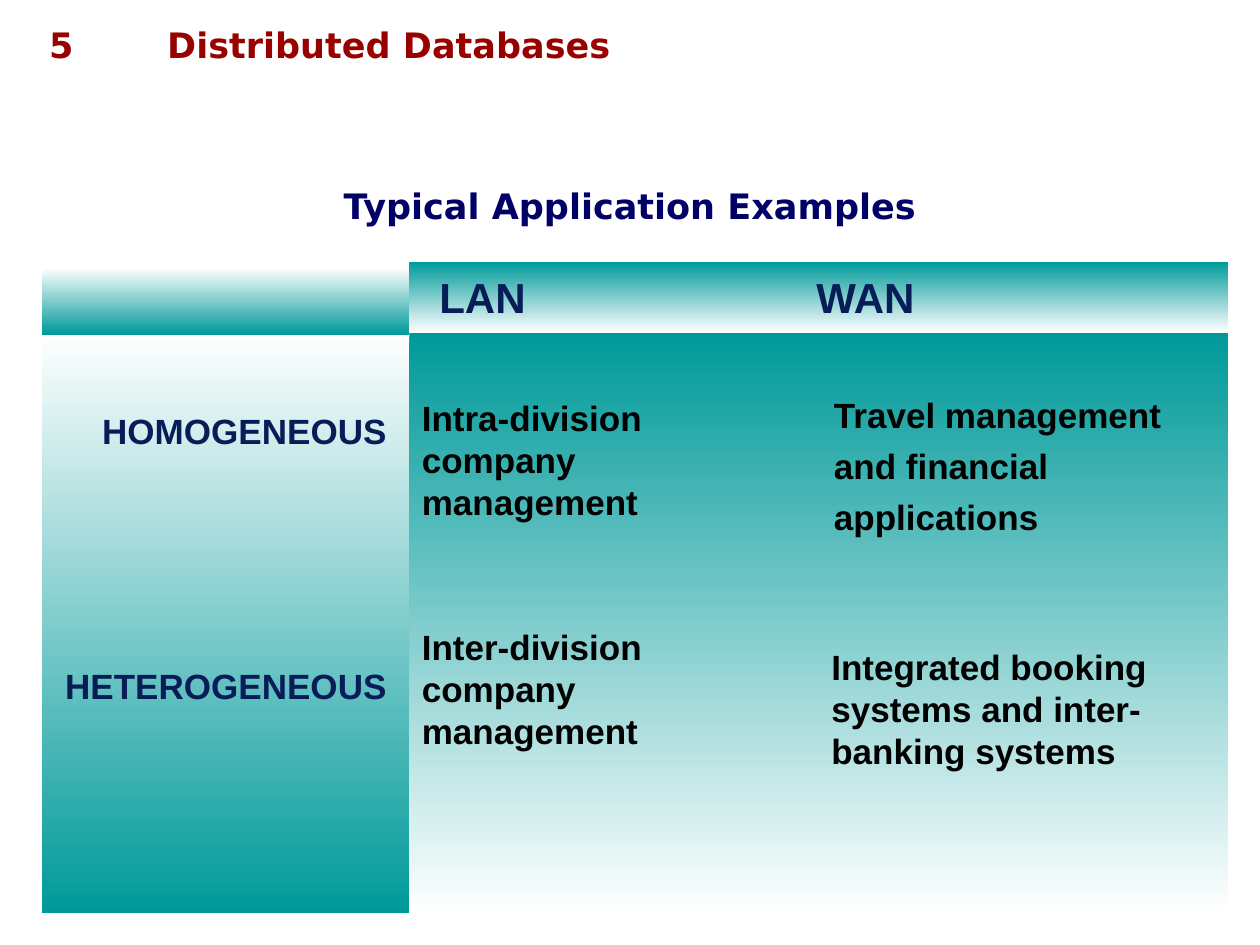
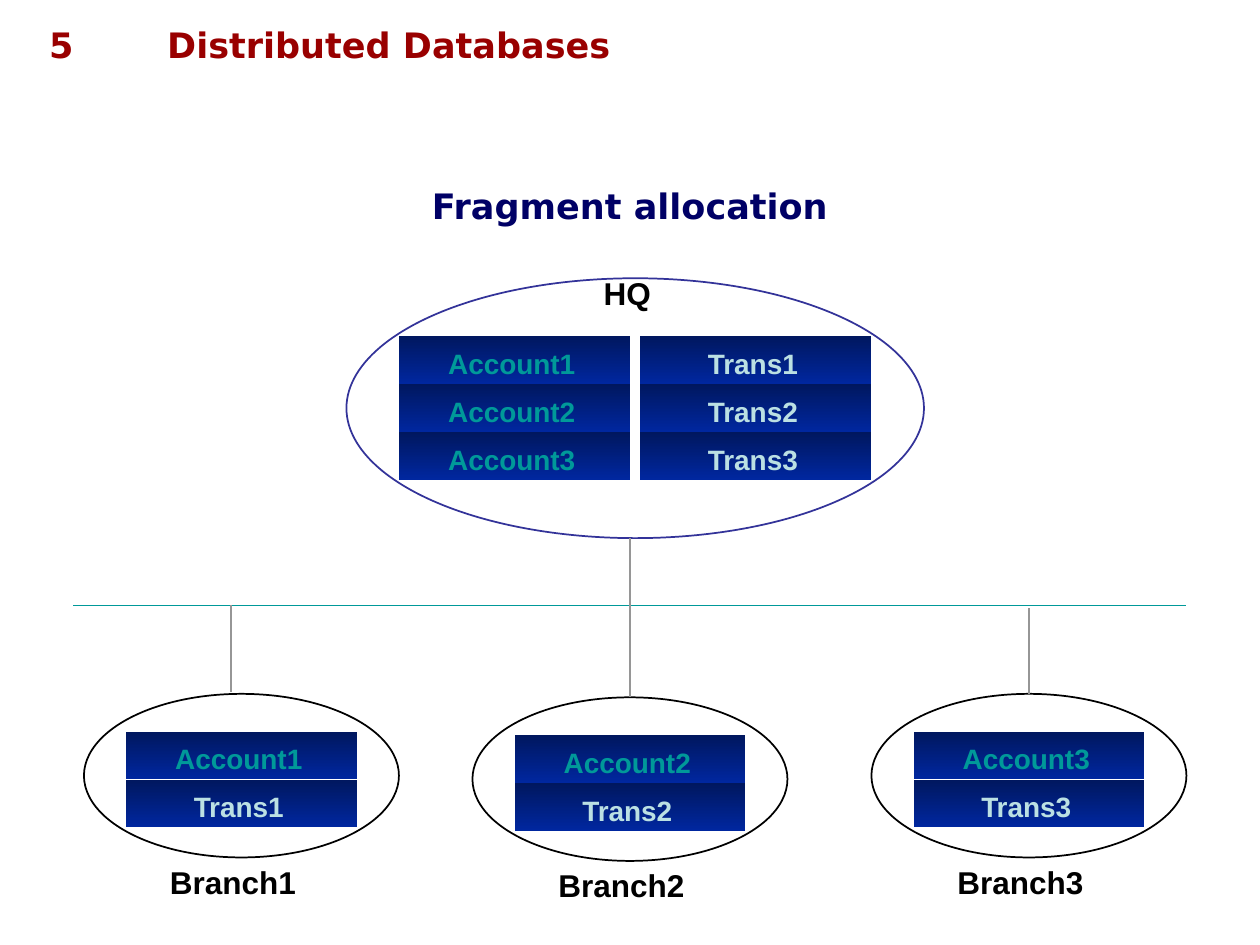
from dataclasses import dataclass

from lxml import etree
from pptx import Presentation
from pptx.dml.color import RGBColor
from pptx.enum import shapes, text
from pptx.oxml import ns
from pptx.util import Pt

LEFT, MID, RIGHT = text.PP_ALIGN.LEFT, text.PP_ALIGN.CENTER, text.PP_ALIGN.RIGHT
RECT, OVAL = shapes.MSO_SHAPE.RECTANGLE, shapes.MSO_SHAPE.OVAL


@dataclass(frozen=True)
class Theme:
    head: str = "990000"
    title: str = "000066"
    teal: str = "009999"
    white: str = "FFFFFF"
    navy: str = "081D58"
    black: str = "000000"
    ice: str = "BBE0E3"
    dark: str = "00175F"
    blue: str = "00279F"
    rim: str = "333399"
    gray: str = "969696"
    sans: str = "Arial"
    wide: str = "DejaVu Sans"
    big: int = 24
    base: int = 20
    label: int = 18
    small: int = 16


T = Theme()


def rgb(code):
    return RGBColor.from_string(code)


def pts(*nums):
    return [Pt(n) for n in nums]


def write(frame, lines, size, color, font=T.sans, align=LEFT, gap=0,
          anchor=text.MSO_ANCHOR.TOP):
    frame.word_wrap = True
    frame.auto_size = text.MSO_AUTO_SIZE.NONE
    frame.vertical_anchor = anchor
    for i, line in enumerate(lines):
        para = frame.paragraphs[0] if i == 0 else frame.add_paragraph()
        para.alignment = align
        para.space_before = Pt(gap if i else 0)
        run = para.add_run()
        run.text = line
        run.font.name = font
        run.font.size = Pt(size)
        run.font.bold = True
        run.font.color.rgb = rgb(color)


def note(slide, box, lines, size, color, **style):
    shape = slide.shapes.add_textbox(*pts(*box))
    write(shape.text_frame, lines, size, color, **style)


def block(slide, box, top, base):
    shape = slide.shapes.add_shape(RECT, *pts(*box))
    shape.shadow.inherit = False
    shape.line.fill.background()
    shape.fill.gradient()
    shape.fill.gradient_angle = 270
    for stop, color in zip(shape.fill.gradient_stops, (top, base)):
        stop.color.rgb = rgb(color)
    return shape


def ring(slide, box, color):
    shape = slide.shapes.add_shape(OVAL, *pts(*box))
    shape.shadow.inherit = False
    shape.fill.background()
    shape.line.color.rgb = rgb(color)
    shape.line.width = Pt(1)
    return shape


def link(slide, ends, color, width):
    line = slide.shapes.add_connector(shapes.MSO_CONNECTOR.STRAIGHT, *pts(*ends))
    line.line.color.rgb = rgb(color)
    line.line.width = Pt(width)
    etree.SubElement(line._element.spPr, ns.qn("a:effectLst"))
    return line


def start(deck, name):
    slide = deck.slides.add_slide(deck.slide_layouts[5])
    title = slide.shapes.title
    title.left, title.top, title.width, title.height = pts(0, 106.5, 720, 21.6)
    write(title.text_frame, [name], T.base, T.title, font=T.wide, align=MID,
          anchor=text.MSO_ANCHOR.MIDDLE)
    note(slide, (88.5, 10, 612, 32), ["Distributed Databases"],
         T.base, T.head, font=T.wide)
    note(slide, (9.5, 10, 51, 32), ["5"], T.base, T.head, font=T.wide, align=MID)
    return slide


def matrix(slide, x, y, w, h):
    side, top = 210, 40.5
    body = w - side
    block(slide, (x, y + top, side, h - top), T.white, T.teal)
    block(slide, (x + side, y + top, body, h - top), T.teal, T.white)
    block(slide, (x + side, y, body, top), T.teal, T.white)
    block(slide, (x, y + 3.5, side, 38), T.white, T.teal)

    for dx, name in ((220, "LAN"), (435.5, "WAN")):
        note(slide, (x + dx, y + 2, 100, 36), [name], T.big, T.navy,
             anchor=text.MSO_ANCHOR.MIDDLE)
    for dy, name in ((80.5, "HOMOGENEOUS"), (226.5, "HETEROGENEOUS")):
        note(slide, (x, y + dy, 204, 32), [name], T.base, T.navy, align=RIGHT,
             anchor=text.MSO_ANCHOR.MIDDLE)

    cells = (
        (210, 73.5, 210, ["Intra-division", "company management"]),
        (210, 204.5, 210, ["Inter-division company management"]),
        (444, 216, 222, ["Integrated booking systems and inter-banking systems"]),
    )
    for dx, dy, wide, lines in cells:
        note(slide, (x + dx, y + dy, wide, 79), lines, T.base, T.black,
             anchor=text.MSO_ANCHOR.MIDDLE)
    note(slide, (x + 445.5, y + 72, 222, 90),
         ["Travel management", "and financial", "applications"],
         T.base, T.black, gap=5)


def stack(slide, x, y, names):
    for i, name in enumerate(names):
        shape = block(slide, (x, y + i * 27.5, 132, 27.2), T.dark, T.blue)
        frame = shape.text_frame
        frame.margin_left, frame.margin_right = pts(7.2, 10.2)
        frame.margin_top, frame.margin_bottom = pts(6, 2.4)
        color = T.teal if name.startswith("Account") else T.ice
        write(frame, [name], T.small, color, align=MID,
              anchor=text.MSO_ANCHOR.MIDDLE)


def office(slide, x, y, w, h):
    for col, kind in enumerate(("Account", "Trans")):
        stack(slide, x + 30 + col * 137.75, y + 33,
              [f"{kind}{n}" for n in (1, 2, 3)])
    note(slide, (x + 109.5, y - 6, 102, 30), ["HQ"], T.label, T.black, align=MID)
    ring(slide, (x, y, w, h), T.rim)


def branch(slide, x, y, w, h, num):
    stack(slide, x + 24, y + 21.6, [f"Account{num}", f"Trans{num}"])
    note(slide, (x + 42, y + 93, 102, 29), [f"Branch{num}"], T.label, T.black)
    return ring(slide, (x, y, w, h), T.black)


def network(slide, x, y, w):
    office(slide, 198, 159, 330, 148.5)
    link(slide, (x, y, x + w, y), T.teal, 1)
    sites = ((48, 396.5, 132, y), (270, 398.5, 360, 307.5), (498, 396.5, 588, y + 1.5))
    for num, (left, top, drop, begin) in enumerate(sites, 1):
        oval = branch(slide, left, top, 180, 93.5, num)
        line = link(slide, (drop, begin, drop, top - 1), T.gray, 1.25)
        if drop == left + 90:
            line.end_connect(oval, 0)


def main():
    deck = Presentation()
    deck.slide_width, deck.slide_height = pts(720, 540)
    matrix(start(deck, "Typical Application Examples"), 24, 149.5, 678, 372.5)
    network(start(deck, "Fragment allocation"), 42, 346, 636)
    deck.save("out.pptx")


if __name__ == "__main__":
    main()
